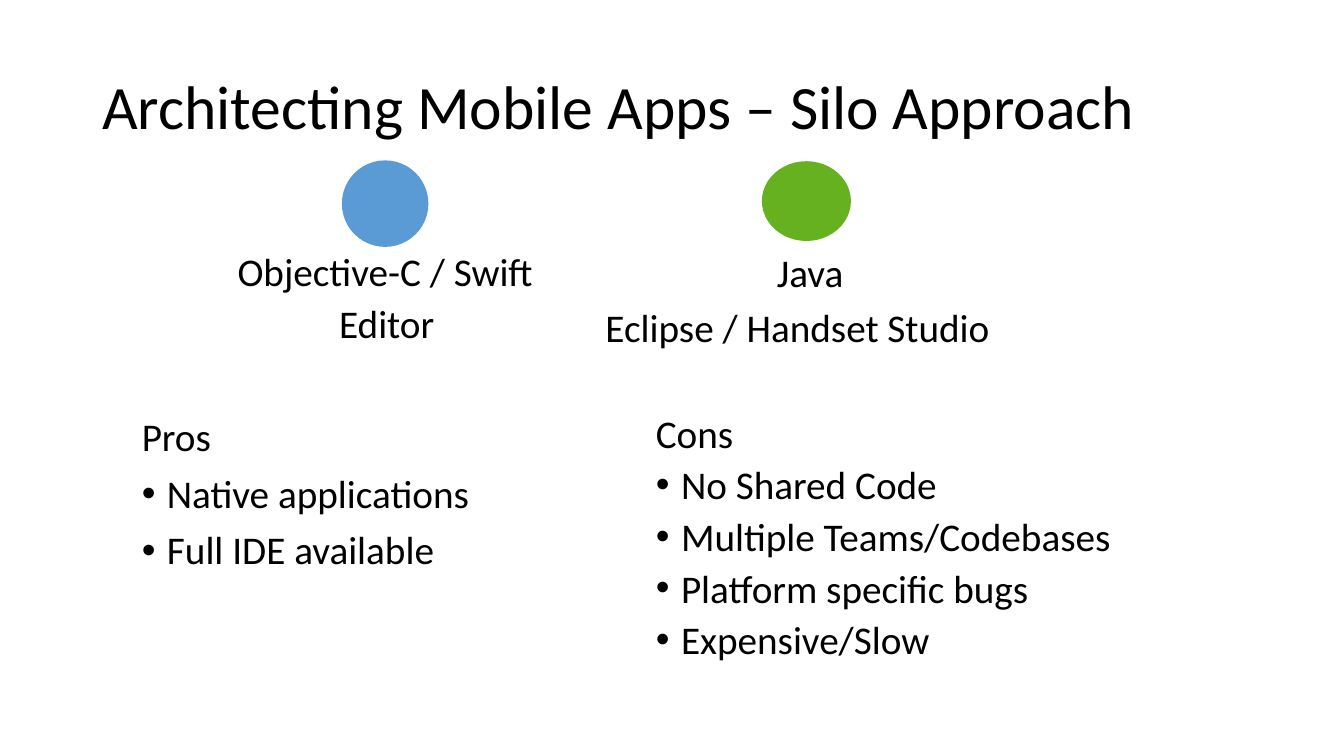
"""Build the slide on the silo approach to mobile app architecture."""
from lxml.etree import SubElement
from pptx import Presentation
from pptx.dml.color import RGBColor
from pptx.enum.shapes import MSO_SHAPE
from pptx.enum.text import MSO_ANCHOR as Anchor, MSO_AUTO_SIZE as AutoSize
from pptx.oxml.ns import qn
from pptx.util import Inches, Pt

COLORS = {"text": "000000", "swift_side": "5B9BD5", "java_side": "66B11F"}

deck = Presentation()
deck.slide_width, deck.slide_height = Inches(13.33), Inches(7.5)
cell = deck.slide_width / 160
slide = deck.slides.add_slide(deck.slide_layouts[6])


def place(*cells):
    """Turn grid columns and rows into slide lengths."""
    return [round(count * cell) for count in cells]


def write(area, lines, size=28, spacing=0.9, wrap=True):
    """Add a heading line followed by bulleted lines."""
    frame = slide.shapes.add_textbox(*place(*area)).text_frame
    frame.word_wrap = wrap
    for number, line in enumerate(lines):
        paragraph = frame.add_paragraph() if number else frame.paragraphs[0]
        paragraph.line_spacing = spacing
        if number:
            paragraph.space_before = Pt(10)
            properties = paragraph._p.get_or_add_pPr()
            properties.set("marL", str(Inches(0.25)))
            properties.set("indent", str(-Inches(0.25)))
            SubElement(properties, qn("a:buFont")).set("typeface", "Arial")
            SubElement(properties, qn("a:buChar")).set("char", "•")
        run = paragraph.add_run()
        run.text = line
        run.font.name, run.font.size = "Calibri", Pt(size)
        run.font.color.rgb = RGBColor.from_string(COLORS["text"])
    return frame


title = write((11, 8.3, 138, 9.4), ["Architecting Mobile Apps – Silo Approach"], size=44)
title.vertical_anchor = Anchor.MIDDLE

for platform, area in (
    ("swift_side", (40.7, 19.1, 10.3, 10.3)),
    ("java_side", (90.7, 19.2, 10.6, 9.5)),
):
    silo = slide.shapes.add_shape(MSO_SHAPE.OVAL, *place(*area))
    silo.shadow.inherit = False
    silo.fill.solid()
    silo.fill.fore_color.rgb = RGBColor.from_string(COLORS[platform])
    silo.line.fill.background()

write((27.1, 29.5, 38.5, 7.1), ["Objective-C / Swift"])
write((70.9, 36.2, 51.2, 6.2), ["Eclipse / Handset Studio"])
for tool, area, wrap in (
    ("Editor", (39.2, 35, 15.5, 6.8), True),
    ("Java", (91.3, 29, 10.4, 6.8), False),
):
    write(area, [tool], spacing=1.0, wrap=wrap).auto_size = AutoSize.SHAPE_TO_FIT_TEXT

write((15.7, 49.2, 49.9, 31.3), ["Pros", "Native applications", "Full IDE available"])
write(
    (76.9, 49.2, 59.9, 32.5),
    ["Cons", "No Shared Code", "Multiple Teams/Codebases", "Platform specific bugs", "Expensive/Slow"],
    spacing=0.8,
)

deck.save("out.pptx")
